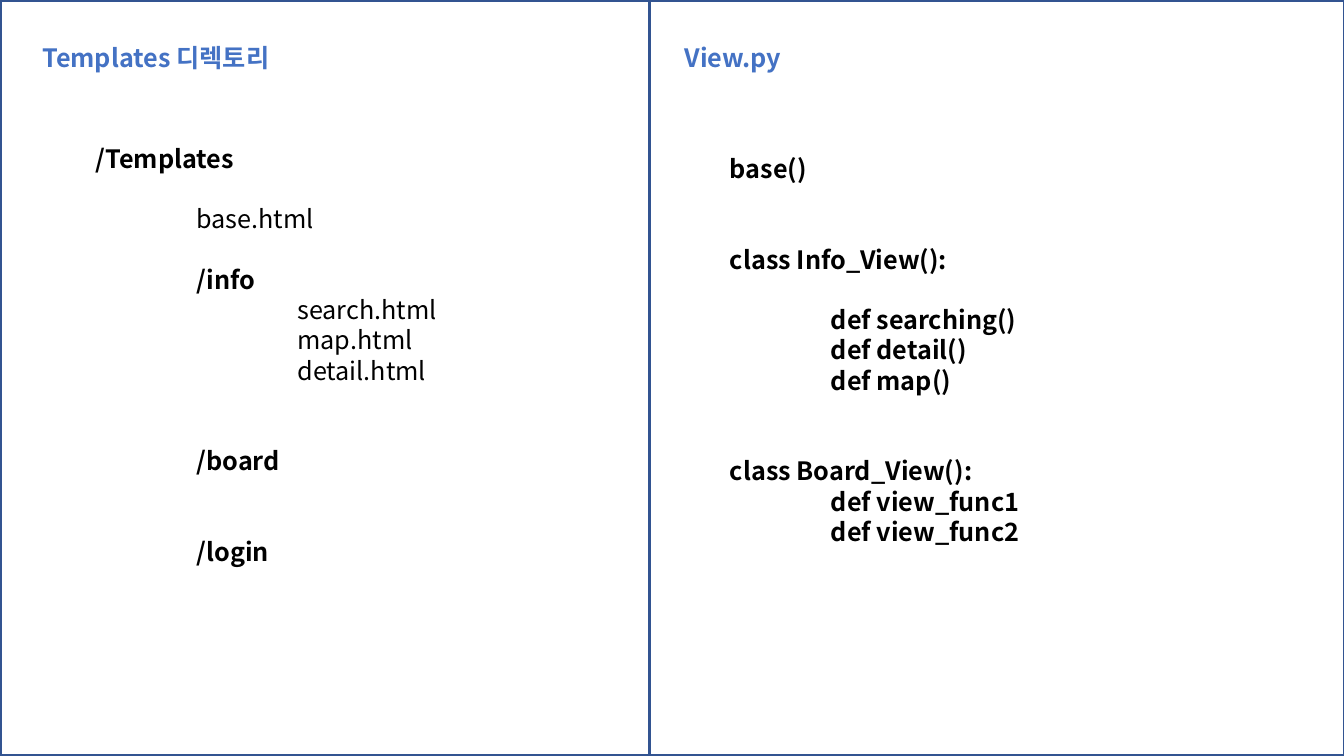
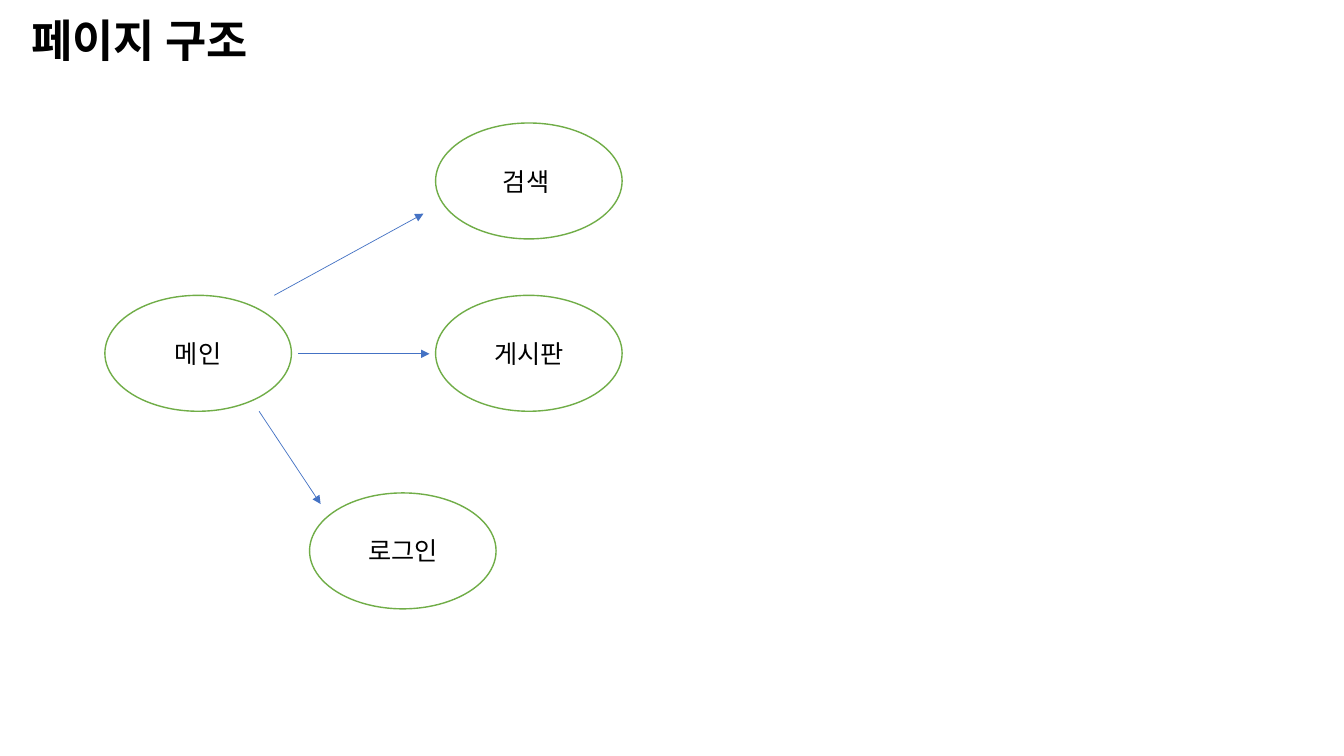
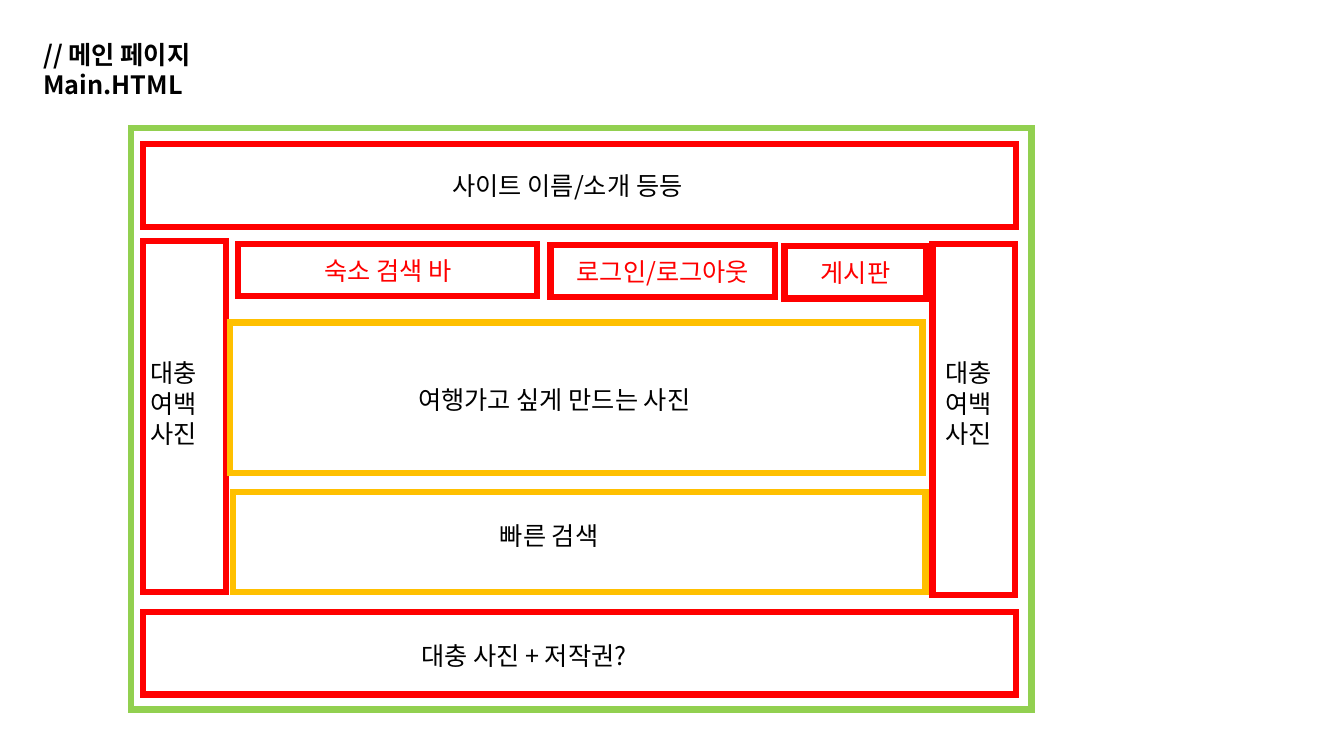
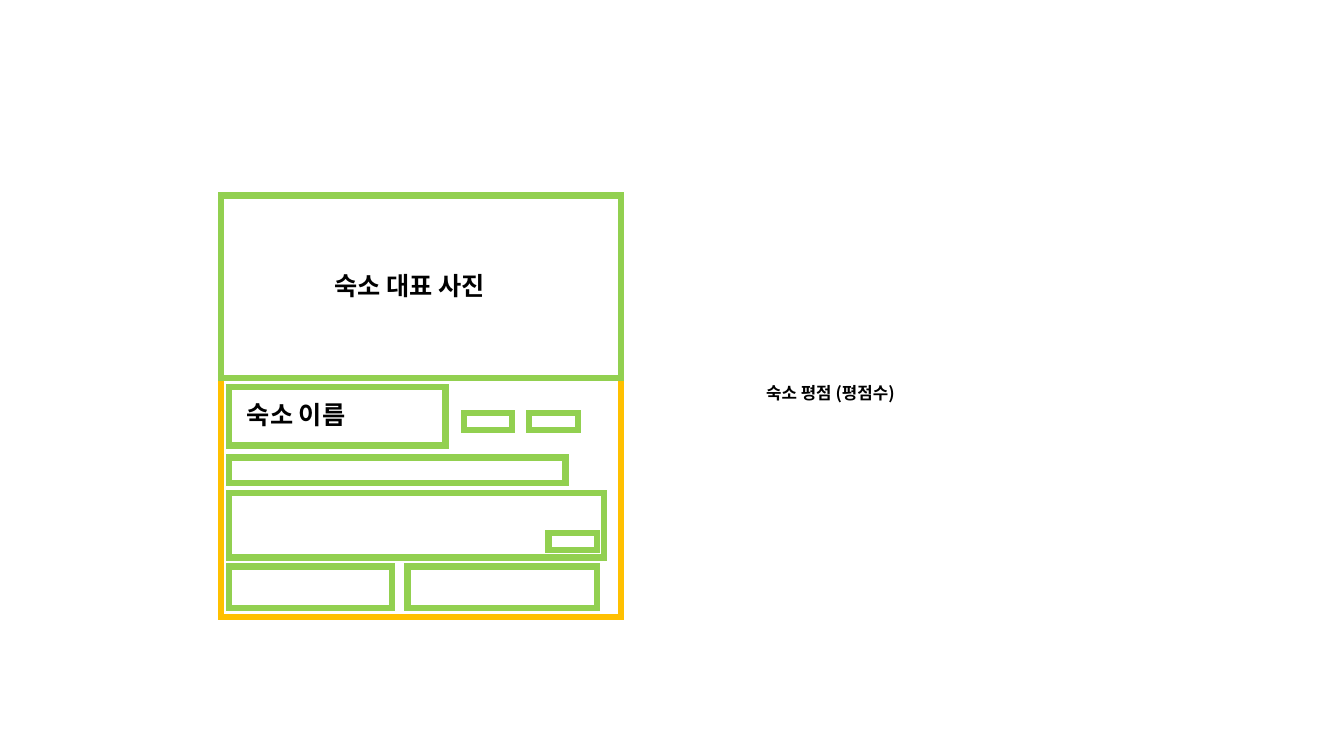
from lxml.etree import SubElement
from pptx import Presentation
from pptx.dml.color import RGBColor
from pptx.enum.shapes import MSO_CONNECTOR, MSO_SHAPE
from pptx.enum.text import MSO_ANCHOR, MSO_AUTO_SIZE, PP_ALIGN
from pptx.oxml.ns import qn
from pptx.util import Inches, Pt

FONT = "Noto Sans CJK KR"
BLACK, BLUE, NAVY = "000000", "4472C4", "325491"
GREEN, LIME, RED, AMBER = "70AD47", "92D050", "FF0000", "FFC000"
TEXT_SIZE = 18
LINE_HEIGHT = 1.2
COMPARISON, TITLE_ONLY, BLANK = 4, 5, 6


# Shared helpers
def color(hex_string):
    return RGBColor.from_string(hex_string)


def inside(box, left, top, width, height):
    """Turn a place within a box into a place on the slide."""
    return box[0] + left, box[1] + top, width, height


def place(shape, box):
    shape.left, shape.top, shape.width, shape.height = map(Inches, box)


def format_runs(paragraph, size=TEXT_SIZE, hue=BLACK, bold=False):
    for run in paragraph.runs:
        run.font.name = FONT
        run.font.size = Pt(size)
        run.font.bold = bold
        run.font.color.rgb = color(hue)
        latin = run._r.get_or_add_rPr().find(qn("a:latin"))
        east_asian = latin.makeelement(qn("a:ea"), {"typeface": FONT})
        latin.addnext(east_asian)


def fill_text(shape, text, size=TEXT_SIZE, hue=BLACK, bold=False):
    """Write left-aligned text from the top of a text box or placeholder."""
    text_frame = shape.text_frame
    text_frame.text = text
    text_frame.word_wrap = True
    text_frame.auto_size = MSO_AUTO_SIZE.NONE
    text_frame.vertical_anchor = MSO_ANCHOR.TOP
    for paragraph in text_frame.paragraphs:
        paragraph.alignment = PP_ALIGN.LEFT
        paragraph.space_before = Pt(0)
        paragraph.line_spacing = Pt(size * LINE_HEIGHT)
        format_runs(paragraph, size, hue, bold)


def add_label(slide, box, text, **style):
    fill_text(slide.shapes.add_textbox(*map(Inches, box)), text, **style)


def add_title(slide, box, text, **style):
    title = slide.shapes.title
    place(title, box)
    fill_text(title, text, bold=True, **style)


def add_outline(slide, box, hue, width=4.5, text="", text_hue=BLACK,
                kind=MSO_SHAPE.RECTANGLE):
    """Draw an unfilled shape, with a centred caption if there is one."""
    shape = slide.shapes.add_shape(kind, *map(Inches, box))
    shape.shadow.inherit = False
    shape.fill.background()
    shape.line.color.rgb = color(hue)
    shape.line.width = Pt(width)
    line = shape._element.spPr.find(qn("a:ln"))
    SubElement(line, qn("a:miter"), lim="800000")
    if text:
        text_frame = shape.text_frame
        text_frame.text = text
        text_frame.word_wrap = True
        text_frame.vertical_anchor = MSO_ANCHOR.MIDDLE
        paragraph = text_frame.paragraphs[0]
        paragraph.alignment = PP_ALIGN.CENTER
        format_runs(paragraph, hue=text_hue)


def add_arrow(slide, start, end):
    connector = slide.shapes.add_connector(
        MSO_CONNECTOR.STRAIGHT, *map(Inches, start + end))
    connector.line.color.rgb = color(BLUE)
    connector.line.width = Pt(0.5)
    properties = connector._element.spPr
    SubElement(properties.find(qn("a:ln")), qn("a:tailEnd"), type="triangle")
    SubElement(properties, qn("a:effectLst"))


# Slide 1: directory and view listings
def add_listing(slide, panel, heading, title, body, body_box, lines):
    """Each line is (indent level, blank lines above, text, bold)."""
    add_outline(slide, panel, NAVY, 2.25)
    place(heading, inside(panel, *title[0]))
    fill_text(heading, title[1], hue=BLUE, bold=True)

    place(body, inside(panel, *body_box))
    fill_text(body, "\n".join(line[2] for line in lines))
    for paragraph, (level, gap, _, bold) in zip(body.text_frame.paragraphs, lines):
        paragraph.space_before = Pt(gap * TEXT_SIZE * LINE_HEIGHT)
        properties = paragraph._p.get_or_add_pPr()
        properties.set("marL", str(Inches(level)))
        properties.set("indent", "0")
        SubElement(properties, qn("a:buNone"))
        for run in paragraph.runs:
            run.font.bold = bold


def build_listings(presentation):
    slide = presentation.slides.add_slide(presentation.slide_layouts[COMPARISON])
    title = slide.shapes.title
    title._element.getparent().remove(title._element)
    holders = {holder.placeholder_format.idx: holder for holder in slide.placeholders}
    add_listing(
        slide, (0, 0, 6.44, 7.5),
        holders[1], ((0.32, 0.37, 2.77, 0.4), "Templates 디렉토리"),
        holders[2], (0.85, 1.37, 5.34, 4.35), [
            (0, 0, "/Templates", True),
            (1, 1, "base.html", False),
            (1, 1, "/info", True),
            (2, 0, "search.html", False),
            (2, 0, "map.html", False),
            (2, 0, "detail.html", False),
            (1, 2, "/board", True),
            (1, 2, "/login", True),
        ])
    add_listing(
        slide, (6.44, 0, 6.9, 7.5),
        holders[3], ((0.25, 0.37, 2.77, 0.4), "View.py"),
        holders[4], (0.7, 1.47, 5.34, 4.65), [
            (0, 0, "base()", True),
            (0, 2, "class Info_View():", True),
            (1, 1, "def searching()", True),
            (1, 0, "def detail()", True),
            (1, 0, "def map()", True),
            (0, 2, "class Board_View():", True),
            (1, 0, "def view_func1", True),
            (1, 0, "def view_func2", True),
        ])


# Slide 2: page structure
def add_page_map(slide, box):
    pages = [("메인", 0, 1.71), ("검색 ", 3.28, 0),
             ("게시판", 3.28, 1.71), ("로그인", 2.03, 3.67)]
    for name, left, top in pages:
        add_outline(slide, inside(box, left, top, 1.85, 1.15), GREEN, 1,
                    name, kind=MSO_SHAPE.OVAL)
    arrows = [((1.68, 1.71), (3.16, 0.9)),
              ((1.92, 2.29), (3.22, 2.29)),
              ((1.53, 2.86), (2.14, 3.78))]
    for ends in arrows:
        start, end = [(box[0] + x, box[1] + y) for x, y in ends]
        add_arrow(slide, start, end)


def build_page_structure(presentation):
    slide = presentation.slides.add_slide(presentation.slide_layouts[TITLE_ONLY])
    add_title(slide, (0.21, 0.08, 4.33, 0.64), "페이지 구조", size=32)
    add_page_map(slide, (1.04, 1.22, 5.13, 4.82))


# Slide 3: main page wireframe
def add_main_wireframe(slide, box):
    add_outline(slide, box, LIME)

    # Header, footer and side margins
    for top in (0.16, 4.8):
        add_outline(slide, inside(box, 0.12, top, 8.66, 0.82), RED)
    for left, top in ((0.12, 1.12), (7.95, 1.15)):
        add_outline(slide, inside(box, left, top, 0.82, 3.48), RED)

    # Menu bar
    menu = [("숙소 검색 바", 1.06, 1.15, 2.97),
            ("로그인/로그아웃", 4.16, 1.16, 2.23),
            ("게시판", 6.48, 1.17, 1.41)]
    for text, left, top, width in menu:
        add_outline(slide, inside(box, left, top, width, 0.52), RED,
                    text=text, text_hue=RED)

    # Photo and quick search
    add_outline(slide, inside(box, 0.98, 1.93, 6.87, 1.49), AMBER)
    add_outline(slide, inside(box, 1.01, 3.61, 6.87, 0.99), AMBER)

    # Labels
    labels = [("사이트 이름/소개 등등", 3.09, 0.37, 3.1, 0.4),
              ("대충 사진 + 저작권?", 2.78, 5.03, 3.1, 0.4),
              ("대충 여백\n사진", 0.09, 2.23, 0.82, 1.01),
              ("대충 여백\n사진", 7.98, 2.23, 0.82, 1.01),
              ("여행가고 싶게 만드는 사진", 2.75, 2.49, 3.64, 0.4),
              ("빠른 검색", 3.56, 3.84, 3.64, 0.4)]
    for text, *area in labels:
        add_label(slide, inside(box, *area), text)


def build_main_page(presentation):
    slide = presentation.slides.add_slide(presentation.slide_layouts[TITLE_ONLY])
    add_title(slide, (0.33, 0.34, 5.24, 0.71), "// 메인 페이지\nMain.HTML")
    add_main_wireframe(slide, (1.3, 1.27, 8.93, 5.77))


# Slide 4: lodging card wireframe
def add_lodging_card(slide, box):
    add_outline(slide, box, AMBER)
    frames = [(0, 0, 3.97, 1.81),        # photo
              (0.08, 1.9, 2.15, 0.58),   # name
              (0.08, 2.6, 3.34, 0.25),   # details
              (0.08, 2.95, 3.72, 0.64),
              (0.08, 3.68, 1.62, 0.41),  # bottom row
              (1.85, 3.68, 1.88, 0.41)]
    tags = [(2.41, 2.16), (3.06, 2.16), (3.25, 3.35)]
    frames += [(left, top, 0.48, 0.17) for left, top in tags]
    for frame in frames:
        add_outline(slide, inside(box, *frame), LIME)
    add_label(slide, inside(box, 1.03, 0.69, 2.94, 0.4), "숙소 대표 사진", bold=True)
    add_label(slide, inside(box, 0.16, 1.97, 2.94, 0.4), "숙소 이름", bold=True)


def build_lodging(presentation):
    slide = presentation.slides.add_slide(presentation.slide_layouts[BLANK])
    add_lodging_card(slide, (2.19, 1.94, 3.97, 4.18))
    add_label(slide, (7.5, 3.75, 1.71, 0.3), "숙소 평점 (평점수)", size=12, bold=True)


def main():
    presentation = Presentation()
    presentation.slide_width = Inches(13.33)
    presentation.slide_height = Inches(7.5)
    build_listings(presentation)
    build_page_structure(presentation)
    build_main_page(presentation)
    build_lodging(presentation)
    presentation.save("out.pptx")


if __name__ == "__main__":
    main()
